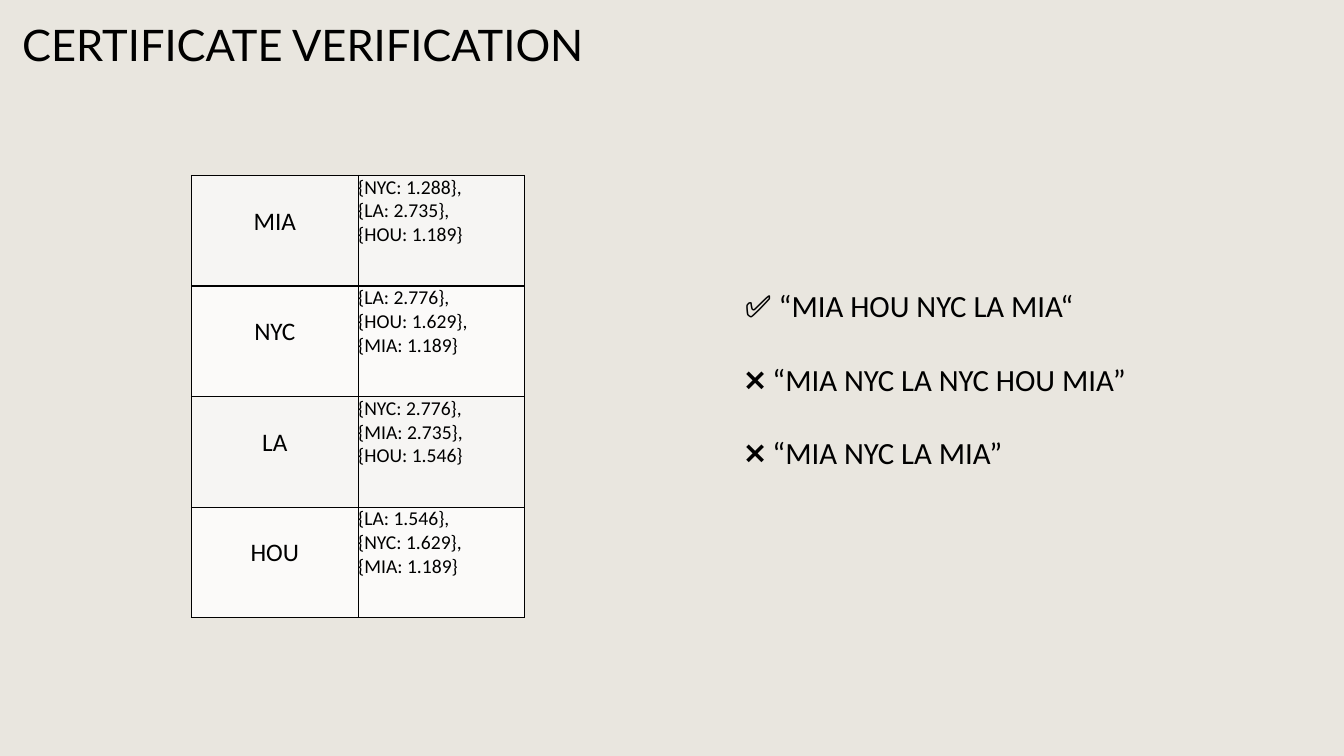
from lxml.etree import SubElement
from pptx import Presentation
from pptx.dml.color import RGBColor
from pptx.enum.text import MSO_ANCHOR as Anchor, MSO_AUTO_SIZE as AutoSize, PP_ALIGN as Align
from pptx.oxml.ns import qn
from pptx.util import Pt

DISTANCES = {
    "MIA": ["{NYC: 1.288},", "{LA: 2.735},", "{HOU: 1.189}"],
    "NYC": ["{LA: 2.776},", "{HOU: 1.629},", "{MIA: 1.189}"],
    "LA": ["{NYC: 2.776},", "{MIA: 2.735},", "{HOU: 1.546}"],
    "HOU": ["{LA: 1.546},", "{NYC: 1.629},", "{MIA: 1.189}"],
}
VERDICTS = [
    "✅ “MIA HOU NYC LA MIA“",
    "❌ “MIA NYC LA NYC HOU MIA”",
    "❌ “MIA NYC LA MIA”",
]


def colour(value):
    return RGBColor.from_string(value)


class SlideBuilder:
    ink = "000000"
    backdrop = "E9E6DF"
    bands = ("F6F5F3", "FBFAF9")
    title_font = "Lato"
    body_font = "Calibri"
    inset = 3.6

    def __init__(self, deck):
        self.page = deck.slides.add_slide(deck.slide_layouts[5])
        fill = self.page.background.fill
        fill.solid()
        fill.fore_color.rgb = colour(self.backdrop)

    def add_lines(self, frame, lines, size, font=body_font, align=Align.LEFT, gap=0, spacing=1.0):
        for index, line in enumerate(lines):
            para = frame.paragraphs[0] if index == 0 else frame.add_paragraph()
            para.alignment = align
            para.line_spacing = spacing
            para.space_before = Pt(gap if index else 0)
            span = para.add_run()
            span.text = line
            span.font.size = Pt(size)
            span.font.name = font
            span.font.color.rgb = colour(self.ink)

    def pad(self, target, left, top, right, bottom):
        target.margin_left, target.margin_top = Pt(left), Pt(top)
        target.margin_right, target.margin_bottom = Pt(right), Pt(bottom)

    def title(self, text, left, top, width, height):
        box = self.page.shapes.title
        box.left, box.top, box.width, box.height = Pt(left), Pt(top), Pt(width), Pt(height)
        frame = box.text_frame
        frame.auto_size = AutoSize.NONE
        frame.word_wrap = True
        frame.vertical_anchor = Anchor.MIDDLE
        self.pad(frame, *[self.inset] * 4)
        self.add_lines(frame, [text], 31, self.title_font, spacing=0.9)

    def text(self, lines, left, top, width, height, size, gap):
        box = self.page.shapes.add_textbox(Pt(left), Pt(top), Pt(width), Pt(height))
        frame = box.text_frame
        frame.word_wrap = False
        self.pad(frame, *[self.inset] * 4)
        self.add_lines(frame, lines, size, gap=gap)

    def border(self, cell):
        properties = cell._tc.get_or_add_tcPr()
        for side in ("a:lnL", "a:lnR", "a:lnT", "a:lnB"):
            line = SubElement(properties, qn(side), w=str(Pt(1)))
            SubElement(SubElement(line, qn("a:solidFill")), qn("a:srgbClr"), val=self.ink)

    def cell(self, cell, lines, size, fill, align=Align.LEFT, drop=0):
        self.border(cell)
        cell.fill.solid()
        cell.fill.fore_color.rgb = colour(fill)
        cell.vertical_anchor = Anchor.TOP
        self.pad(cell, 0, drop, 0, 0)
        self.add_lines(cell.text_frame, lines, size, align=align)

    def distance_table(self, distances, left, top, column_width, row_height):
        rows = len(distances)
        table = self.page.shapes.add_table(
            rows, 2, Pt(left), Pt(top), Pt(2 * column_width), Pt(rows * row_height)
        ).table
        table.first_row = False
        table.horz_banding = False
        for index, (city, neighbours) in enumerate(distances.items()):
            fill = self.bands[index % 2]
            self.cell(table.cell(index, 0), [city], 18, fill, Align.CENTER, drop=22)
            self.cell(table.cell(index, 1), neighbours, 14, fill)


def main():
    deck = Presentation()
    deck.slide_width, deck.slide_height = Pt(960), Pt(540)
    builder = SlideBuilder(deck)
    builder.text(VERDICTS, 528.5, 201.6, 290, 163, size=22, gap=26)
    builder.title("CERTIFICATE VERIFICATION", 12.2, 8.6, 441.4, 51.1)
    builder.distance_table(DISTANCES, 136.8, 125.3, 119, 79)
    deck.save("out.pptx")


if __name__ == "__main__":
    main()
